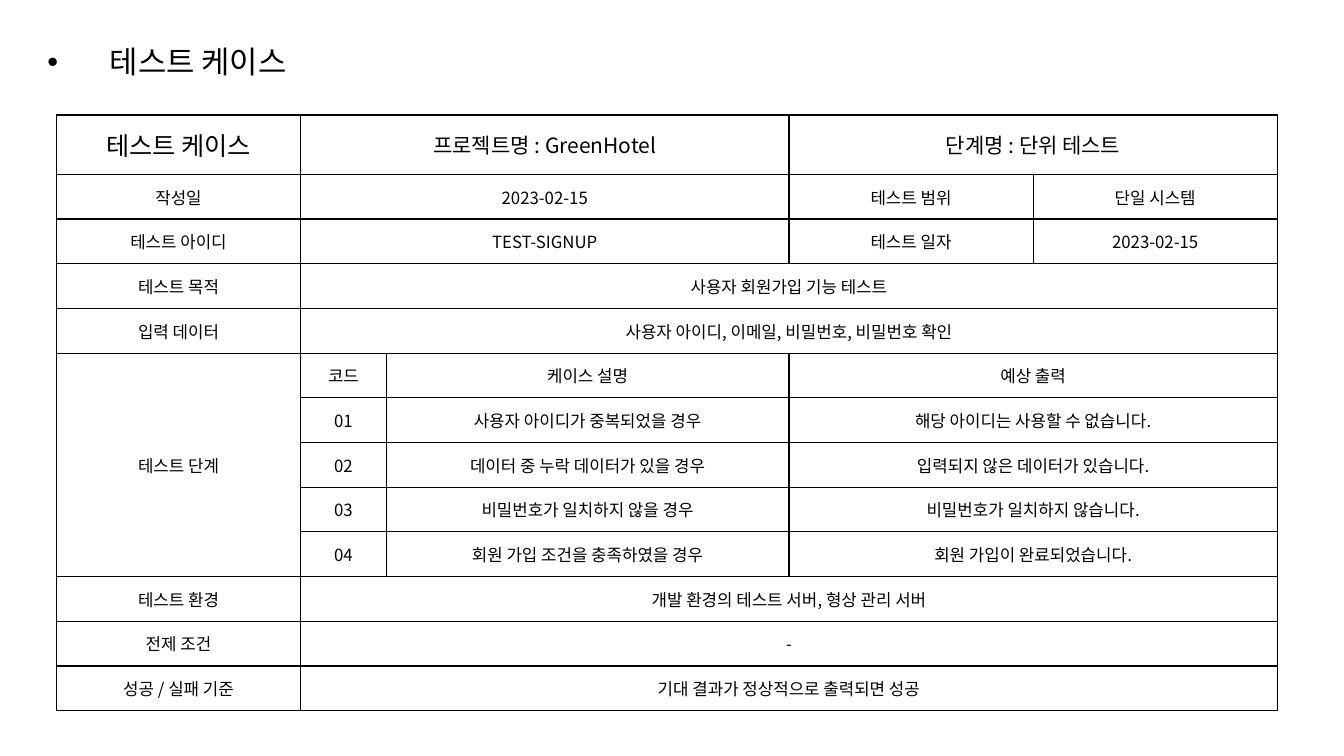
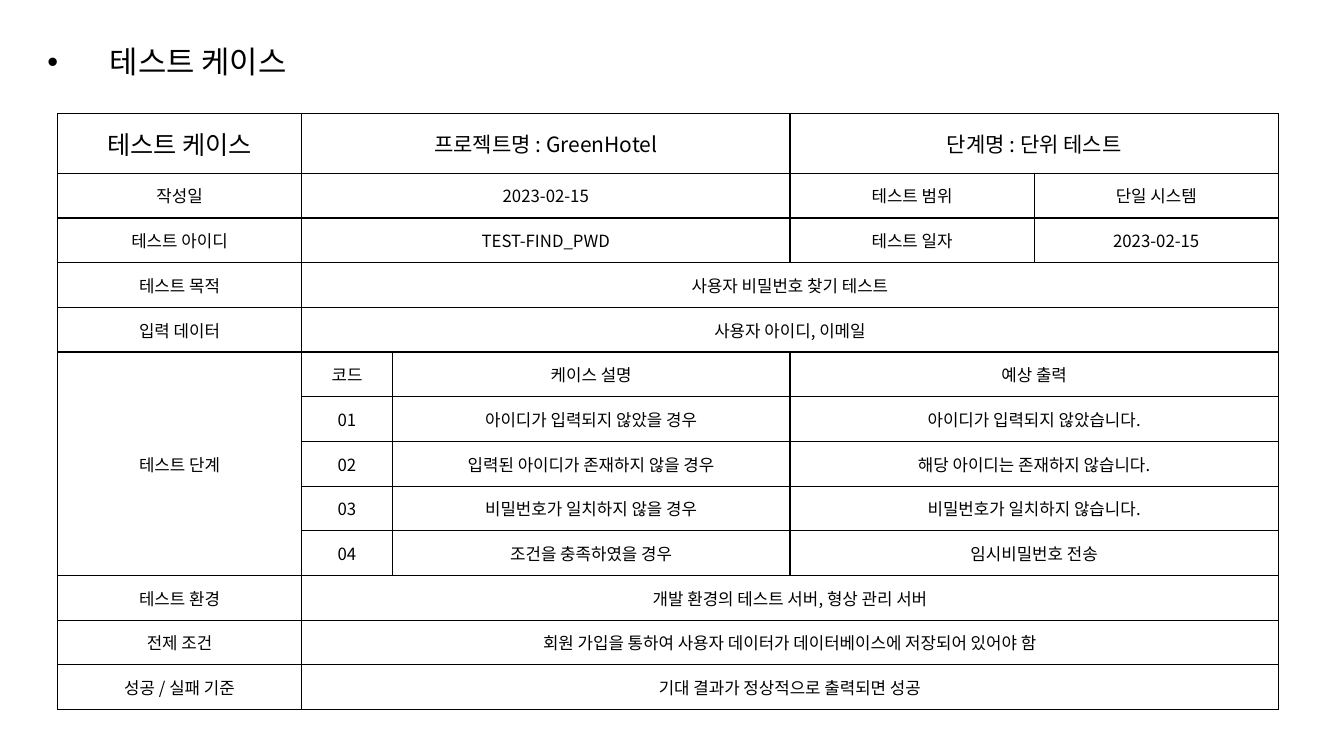
from lxml import etree
from pptx import Presentation
from pptx.dml.color import RGBColor
from pptx.enum.text import MSO_ANCHOR, MSO_AUTO_SIZE, PP_ALIGN
from pptx.oxml.ns import qn
from pptx.util import Inches, Pt

MIDDLE = MSO_ANCHOR.MIDDLE
NO_FIT = MSO_AUTO_SIZE.NONE
LEFT, CENTER = PP_ALIGN.LEFT, PP_ALIGN.CENTER
TITLE_ONLY = 5

TITLE = "테스트 케이스"
STEP_LABEL = "테스트 단계"
COLS = 5


def rgb(hex_color):
    return RGBColor.from_string(hex_color)


def apply(obj, values):
    for name, value in values.items():
        setattr(obj, name, value)


class Deck:
    font = "Noto Sans CJK KR"
    ink, paper = "000000", "FFFFFF"
    title_box = dict(left=Inches(0.37), top=Inches(0.18),
                     width=Inches(11.81), height=Inches(0.91))
    title_frame = dict(word_wrap=True, auto_size=NO_FIT, vertical_anchor=MIDDLE)
    title_par = dict(alignment=LEFT, line_spacing=0.9)
    hang = Inches(0.62)
    table_width, table_height, head_height = 12.11, 5.91, 0.59
    border = Pt(1)

    def __init__(self):
        self.prs = Presentation()
        apply(self.prs, dict(slide_width=Inches(13.33), slide_height=Inches(7.5)))
        self.s = None

    def add_slide(self):
        self.s = self.prs.slides.add_slide(self.prs.slide_layouts[TITLE_ONLY])
        fill = self.s.background.fill
        fill.solid()
        fill.fore_color.rgb = rgb(self.paper)

    def add_text(self, p, text, size):
        r = p.add_run()
        r.text = text
        apply(r.font, dict(name=self.font, size=Pt(size), bold=False))
        r.font.color.rgb = rgb(self.ink)
        # Korean glyphs take the East Asian typeface
        latin = r._r.get_or_add_rPr().find(qn("a:latin"))
        ea = etree.Element(qn("a:ea"), typeface=self.font)
        latin.addnext(ea)

    def title(self, text):
        sp = self.s.shapes.title
        apply(sp, self.title_box)
        tf = sp.text_frame
        apply(tf, self.title_frame)
        p = tf.paragraphs[0]
        apply(p, self.title_par)
        self.add_text(p, text, 22)
        # Bullet with a hanging indent
        pPr = p._p.get_or_add_pPr()
        pPr.set("marL", str(self.hang))
        pPr.set("indent", str(-self.hang))
        etree.SubElement(pPr, qn("a:buFont"), typeface="Arial")
        etree.SubElement(pPr, qn("a:buChar"), char="•")

    def cell_style(self, cell):
        tcPr = cell._tc.get_or_add_tcPr()
        for side in ("lnL", "lnR", "lnT", "lnB"):
            ln = etree.SubElement(tcPr, qn(f"a:{side}"), w=str(self.border))
            fill = etree.SubElement(ln, qn("a:solidFill"))
            etree.SubElement(fill, qn("a:srgbClr"), val=self.ink)
        cell.fill.solid()
        cell.fill.fore_color.rgb = rgb(self.paper)
        cell.vertical_anchor = MIDDLE

    def table(self, left, top, code_width, rows):
        """Each row maps a start column to its text; a text runs to the next start."""
        frame = self.s.shapes.add_table(
            len(rows), COLS, Inches(left), Inches(top),
            Inches(self.table_width), Inches(self.table_height))
        tbl = frame.table
        apply(tbl, dict(first_row=False, horz_banding=False))

        # Five equal columns, with the second pair shared out by the code column
        unit = self.table_width / COLS
        widths = [unit, code_width, 2 * unit - code_width, unit, unit]
        for col, width in zip(tbl.columns, widths):
            col.width = Inches(width)
        row_height = (self.table_height - self.head_height) / (len(rows) - 1)
        for i, row in enumerate(tbl.rows):
            row.height = Inches(row_height if i else self.head_height)

        for cell in tbl.iter_cells():
            self.cell_style(cell)
        for i, row in enumerate(rows):
            starts = list(row)
            for col, end in zip(starts, starts[1:] + [COLS]):
                last = i
                while col == 0 and last + 1 < len(rows) and 0 not in rows[last + 1]:
                    last += 1
                cell = tbl.cell(i, col)
                if (last, end - 1) != (i, col):
                    cell.merge(tbl.cell(last, end - 1))
                p = cell.text_frame.paragraphs[0]
                p.alignment = CENTER
                size = 12 if i else 15 if col else 18
                self.add_text(p, row[col], size)


def wide(label, text):
    return {0: label, 1: text}


def info(label, text, side_label, side_text):
    return {0: label, 1: text, 3: side_label, 4: side_text}


def case_rows(test_id, purpose, inputs, steps, condition):
    return [
        {0: TITLE, 1: "프로젝트명 : GreenHotel", 3: "단계명 : 단위 테스트"},
        info("작성일", "2023-02-15", "테스트 범위", "단일 시스템"),
        info("테스트 아이디", test_id, "테스트 일자", "2023-02-15"),
        wide("테스트 목적", purpose),
        wide("입력 데이터", inputs),
        {0: STEP_LABEL, 1: "코드", 2: "케이스 설명", 3: "예상 출력"},
        *({1: f"{n:02}", 2: case, 3: output}
          for n, (case, output) in enumerate(steps, 1)),
        wide("테스트 환경", "개발 환경의 테스트 서버, 형상 관리 서버"),
        wide("전제 조건", condition),
        wide("성공 / 실패 기준", "기대 결과가 정상적으로 출력되면 성공"),
    ]


MISMATCH = ("비밀번호가 일치하지 않을 경우", "비밀번호가 일치하지 않습니다.")

# Table position, code column width and content of each slide
CASES = [
    (0.56, 1.14, 0.85, case_rows(
        "TEST-SIGNUP",
        "사용자 회원가입 기능 테스트",
        "사용자 아이디, 이메일, 비밀번호, 비밀번호 확인",
        [("사용자 아이디가 중복되었을 경우", "해당 아이디는 사용할 수 없습니다."),
         ("데이터 중 누락 데이터가 있을 경우", "입력되지 않은 데이터가 있습니다."),
         MISMATCH,
         ("회원 가입 조건을 충족하였을 경우", "회원 가입이 완료되었습니다.")],
        "-")),
    (0.57, 1.13, 0.9, case_rows(
        "TEST-FIND_PWD",
        "사용자 비밀번호 찾기 테스트",
        "사용자 아이디, 이메일",
        [("아이디가 입력되지 않았을 경우", "아이디가 입력되지 않았습니다."),
         ("입력된 아이디가 존재하지 않을 경우", "해당 아이디는 존재하지 않습니다."),
         MISMATCH,
         ("조건을 충족하였을 경우", "임시비밀번호 전송")],
        "회원 가입을 통하여 사용자 데이터가 데이터베이스에 저장되어 있어야 함")),
]


def main():
    deck = Deck()
    for left, top, code_width, rows in CASES:
        deck.add_slide()
        deck.title(TITLE)
        deck.table(left, top, code_width, rows)
    deck.prs.save("out.pptx")


if __name__ == "__main__":
    main()
